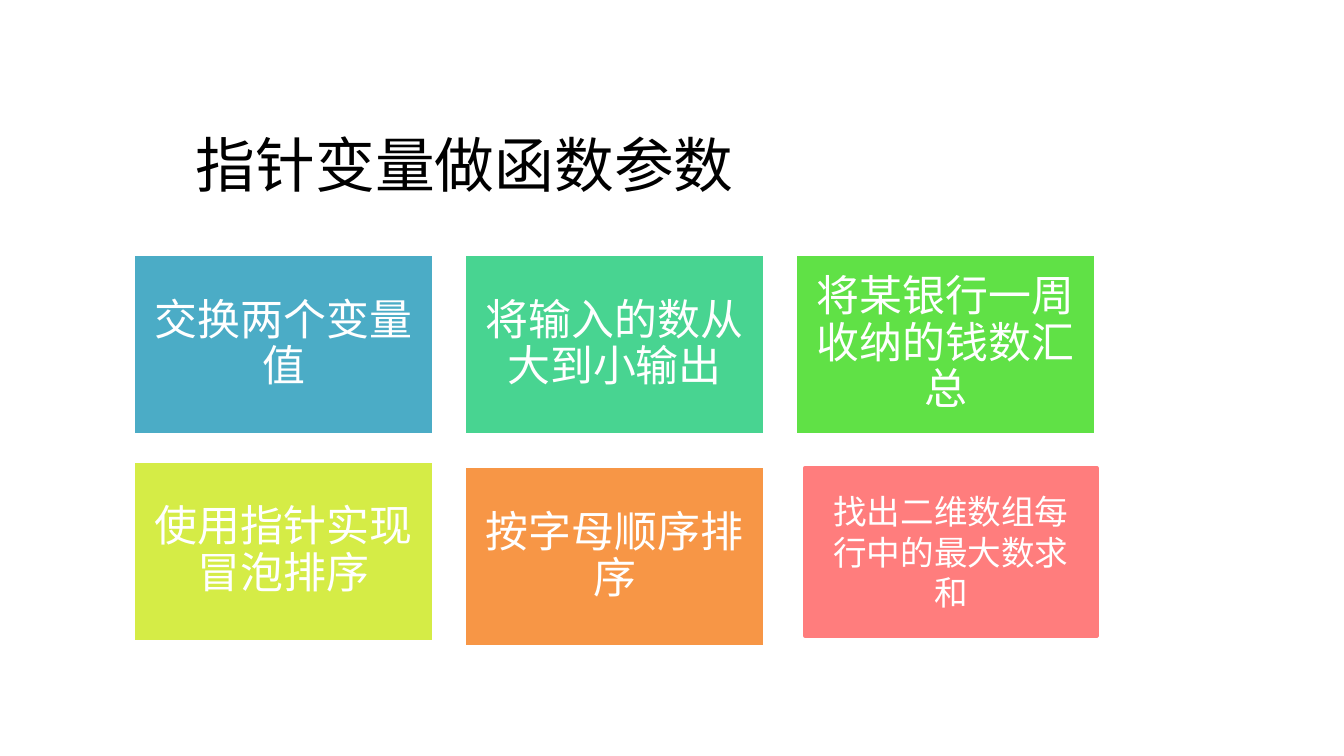
from pptx import Presentation
from pptx.dml.color import RGBColor
from pptx.enum.shapes import MSO_SHAPE
from pptx.enum.text import MSO_ANCHOR, MSO_AUTO_SIZE, PP_ALIGN
from pptx.util import Inches, Pt

RECT = MSO_SHAPE.RECTANGLE
CENTER = PP_ALIGN.CENTER
TOP, MIDDLE = MSO_ANCHOR.TOP, MSO_ANCHOR.MIDDLE
TITLE_ONLY = 5

COLORS = {
    "black": "000000", "white": "FFFFFF",
    "blue": "4BACC6", "teal": "48D491", "green": "60E146",
    "lime": "D5EC46", "orange": "F79646", "red": "FF7D7D",
}

SLIDE_W = 10
SLIDE_H = SLIDE_W * 9 / 16
CARD_W = 2.24
CARD_H = CARD_W * 0.6
COL_PITCH = CARD_W * 1.1

# Text, colour and drop below the row's top
ROWS = [
    [("交换两个变量值", "blue", 0),
     ("将输入的数从大到小输出", "teal", 0),
     ("将某银行一周收纳的钱数汇总", "green", 0)],
    [("使用指针实现冒泡排序", "lime", 0),
     ("按字母顺序排序", "orange", 0.04)],
]


def color(name):
    return RGBColor.from_string(COLORS[name])


def write(sp, text, size, font, ink, anchor):
    tf = sp.text_frame
    tf.word_wrap = True
    tf.vertical_anchor = anchor
    p = tf.paragraphs[0]
    p.text = text
    p.alignment = CENTER
    p.font.size = Pt(size)
    p.font.name = font
    p.font.color.rgb = color(ink)
    return tf


def add_title(slide, text, x, y, w, h):
    sp = slide.shapes.title
    sp.left, sp.top, sp.width, sp.height = map(Inches, (x, y, w, h))
    tf = write(sp, text, 32, "Arial", "black", TOP)
    tf.auto_size = MSO_AUTO_SIZE.NONE


def add_card(slide, text, fill, line, size, x, y, w, h):
    sp = slide.shapes.add_shape(RECT, *map(Inches, (x, y, w, h)))
    sp.shadow.inherit = False
    sp.fill.solid()
    sp.fill.fore_color.rgb = color(fill)
    sp.line.color.rgb = color(line)
    sp.line.width = Pt(2)
    return write(sp, text, size, "Calibri", "white", MIDDLE)


def add_card_row(slide, cards, x, y):
    for col, (text, fill, drop) in enumerate(cards):
        tf = add_card(slide, text, fill, "white", 23,
                      x + col * COL_PITCH, y + drop, CARD_W, CARD_H)
        tf.margin_left = tf.margin_right = Inches(0.1)
        tf.margin_top = tf.margin_bottom = Inches(0.1)
        tf.paragraphs[0].line_spacing = 0.9


def main():
    prs = Presentation()
    prs.slide_width, prs.slide_height = Inches(SLIDE_W), Inches(SLIDE_H)
    slide = prs.slides.add_slide(prs.slide_layouts[TITLE_ONLY])

    # Title
    add_title(slide, "指针变量做函数参数", 1, 0.9, 4.92, 0.67)

    # Last topic, with its own size and outline
    add_card(slide, "找出二维数组每行中的最大数求和", "red", "red", 18,
             5.99, 3.48, 2.17, 1.25)

    # Topic grid
    for cards, y in zip(ROWS, (1.89, 3.43)):
        add_card_row(slide, cards, 0.99, y)

    prs.save("out.pptx")


if __name__ == "__main__":
    main()
